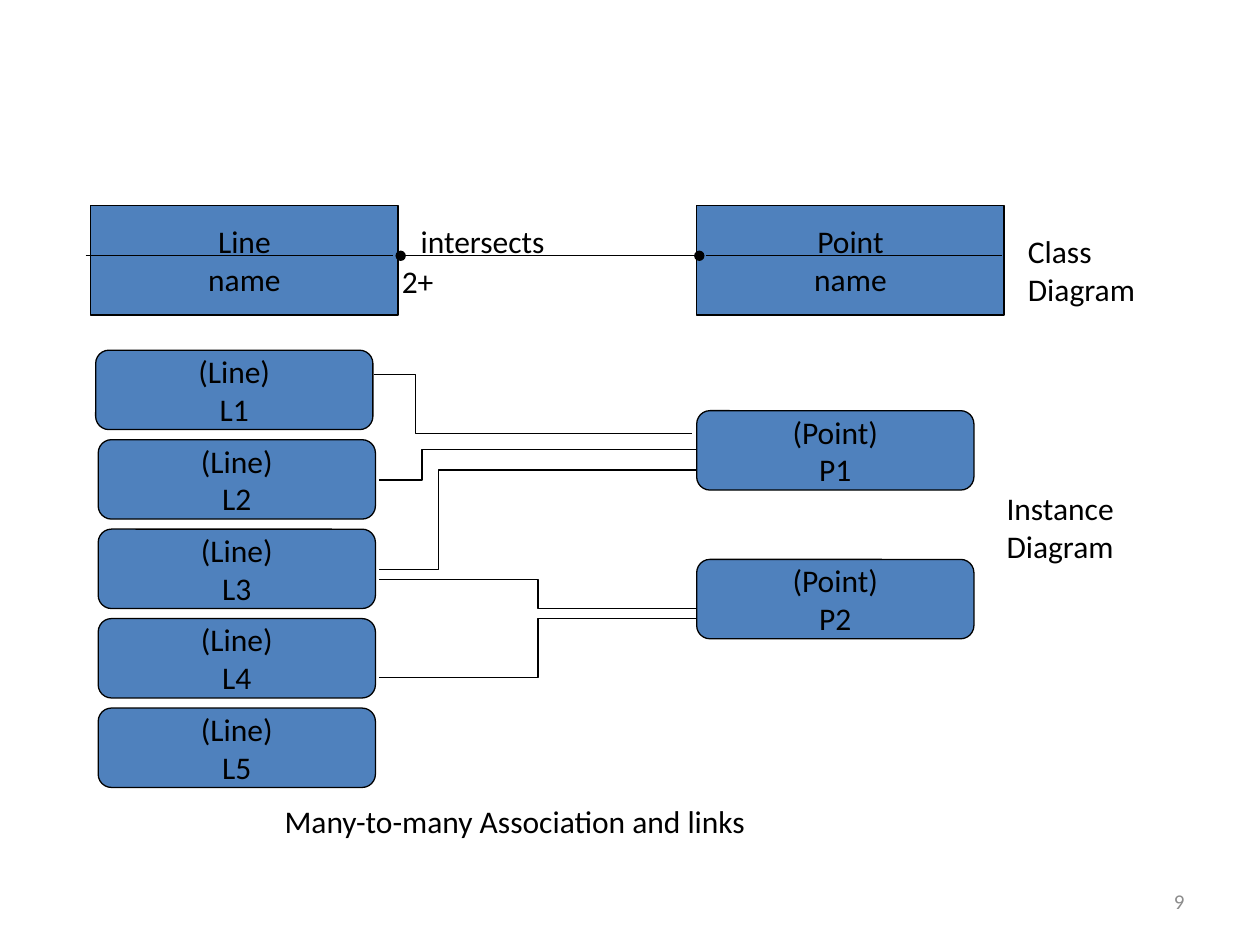
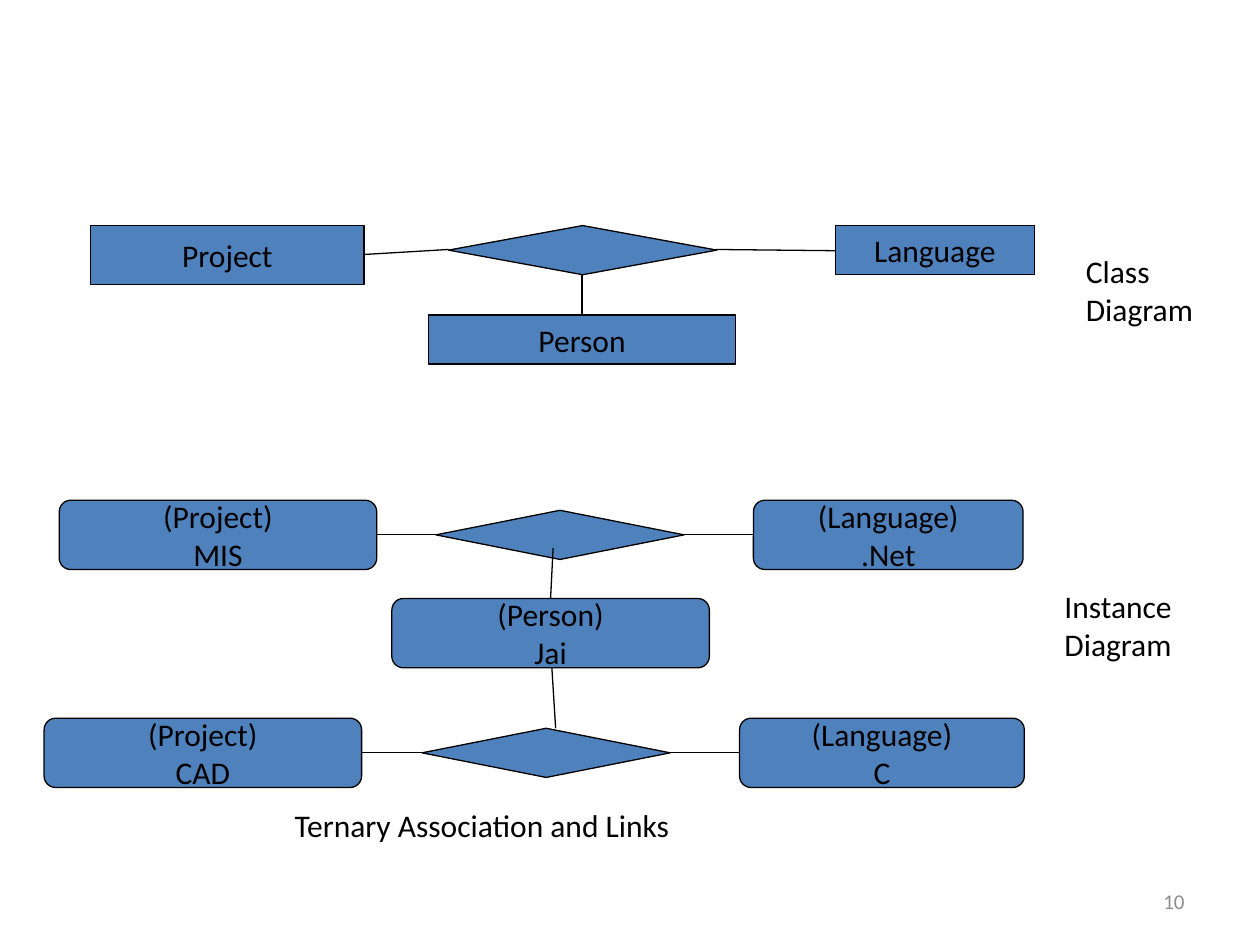
from lxml.etree import SubElement as Sub
from pptx import Presentation
from pptx.dml.color import RGBColor as RGB
from pptx.enum.shapes import MSO_CONNECTOR as LINK, MSO_SHAPE as SHAPE
from pptx.enum.text import MSO_ANCHOR as ANCHOR, MSO_AUTO_SIZE as AUTO, PP_ALIGN as ALIGN
from pptx.oxml.ns import qn
from pptx.util import Emu, Pt

PX = 9144
HUES = {"fill": "4F81BD", "ink": "000000", "page": "8C8C8C"}


class Deck:
    """Holds the shared style and draws on the current slide."""

    def __init__(self):
        self.prs = Presentation()
        self.prs.slide_width, self.prs.slide_height = self.emu(1000, 750)
        self.slide = None

    def emu(self, *vals):
        return [Emu(v * PX) for v in vals]

    def hue(self, name):
        return RGB.from_string(HUES[name])

    def start(self, num):
        self.slide = self.prs.slides.add_slide(self.prs.slide_layouts[6])
        box = self.label(str(num), 717, 695, 233, 40, size=12, hue="page", align=ALIGN.RIGHT)
        box.text_frame.auto_size = AUTO.NONE
        box.text_frame.vertical_anchor = ANCHOR.MIDDLE

    def put(self, frame, text, size=18, hue="ink", align=ALIGN.LEFT):
        for i, line in enumerate(text.split("\n")):
            para = frame.add_paragraph() if i else frame.paragraphs[0]
            para.alignment = align
            run = para.add_run()
            run.text = line
            run.font.name = "Calibri"
            run.font.size = Pt(size)
            run.font.color.rgb = self.hue(hue)

    def label(self, text, x, y, w, h, wrap=True, **style):
        box = self.slide.shapes.add_textbox(*self.emu(x, y, w, h))
        box.text_frame.word_wrap = wrap
        box.text_frame.auto_size = AUTO.SHAPE_TO_FIT_TEXT
        self.put(box.text_frame, text, **style)
        return box

    def stroke(self, line):
        line.color.rgb = self.hue("ink")
        line.width = Pt(0.75)

    def node(self, kind, x, y, w, h, text=""):
        box = self.slide.shapes.add_shape(kind, *self.emu(x, y, w, h))
        box.shadow.inherit = False
        box.fill.solid()
        box.fill.fore_color.rgb = self.hue("fill")
        self.stroke(box.line)
        if text:
            box.text_frame.word_wrap = False
            box.text_frame.vertical_anchor = ANCHOR.MIDDLE
            self.put(box.text_frame, text, align=ALIGN.CENTER)

    def class_box(self, text, *place):
        self.node(SHAPE.RECTANGLE, *place, text)

    def item(self, kind, name, *place):
        self.node(SHAPE.FLOWCHART_ALTERNATE_PROCESS, *place, f"({kind})\n{name}")

    def diamond(self, *place):
        self.node(SHAPE.FLOWCHART_DECISION, *place)

    def link(self, *ends, kind=LINK.STRAIGHT):
        wire = self.slide.shapes.add_connector(kind, *self.emu(*ends))
        self.stroke(wire.line)
        props = wire.element.spPr
        Sub(props, qn("a:effectLst"))
        return props

    def dots(self, *ends):
        line = self.link(*ends).find(qn("a:ln"))
        for tag in ("a:headEnd", "a:tailEnd"):
            Sub(line, qn(tag), type="oval")

    def elbow(self, x1, y1, x2, y2, bend):
        props = self.link(x1, y1, x2, y2, kind=LINK.ELBOW)
        ratio = round((bend - x1) / (x2 - x1) * 100000)
        guides = props.find(qn("a:prstGeom")).find(qn("a:avLst"))
        Sub(guides, qn("a:gd"), name="adj1", fmla=f"val {ratio}")

    def sides(self, x, top, low):
        self.label("Class\nDiagram", x, top, 116, 71, wrap=False)
        self.label("Instance\nDiagram", x - 17, low, 123, 71, wrap=False)


def many(deck):
    deck.start(9)
    for name, x in (("Line", 72), ("Point", 553)):
        deck.class_box(f"{name}\nname", x, 163, 244, 87)
    deck.link(68, 203, 312, 203)
    deck.link(560, 203, 795, 203)
    deck.dots(318, 203, 555, 203)
    deck.label("intersects", 324, 171, 220, 40)
    deck.label("2+", 309, 203, 55, 40)
    for i in range(5):
        deck.item("Line", f"L{i + 1}", 78 if i else 76, 278 + 71 * i, 220, 63)
    for i in range(2):
        deck.item("Point", f"P{i + 1}", 553, 326 + 118 * i, 220, 63)
    deck.elbow(297, 297, 549, 344, 330)
    for y1, y2, bend in ((538, 491, 427), (381, 357, 335), (452, 373, 348), (460, 483, 427)):
        deck.elbow(301, y1, 553, y2, bend)
    deck.label("Many-to-many Association and links", 216, 632, 638, 40)
    deck.sides(806, 179, 383)


def ternary(deck):
    deck.start(10)
    deck.class_box("Project", 72, 179, 217, 47)
    deck.class_box("Language", 663, 179, 158, 39)
    deck.class_box("Person", 340, 250, 244, 39)
    deck.diamond(356, 179, 213, 39)
    deck.link(289, 202, 356, 198)
    deck.link(568, 198, 663, 199)
    deck.link(462, 218, 462, 250)
    rows = (("MIS", ".Net", 47, 346, 598, 214, 397), ("CAD", "C", 35, 335, 587, 226, 570))
    for task, lang, left, mid, right, wide, y in rows:
        deck.item("Project", task, left, y, 252, 55)
        deck.item("Language", lang, right, y, wide, 55)
        deck.diamond(mid, y + 8, 197, 39)
        deck.link(left + 252, y + 27, mid, y + 27)
        deck.link(mid + 197, y + 27, right, y + 27)
    deck.item("Person", "Jai", 311, 475, 252, 55)
    deck.link(439, 435, 437, 475)
    deck.link(438, 530, 441, 578)
    deck.label("Ternary Association and Links", 224, 635, 488, 40)
    deck.sides(852, 195, 461)


def main():
    deck = Deck()
    many(deck)
    ternary(deck)
    deck.prs.save("out.pptx")


if __name__ == "__main__":
    main()
